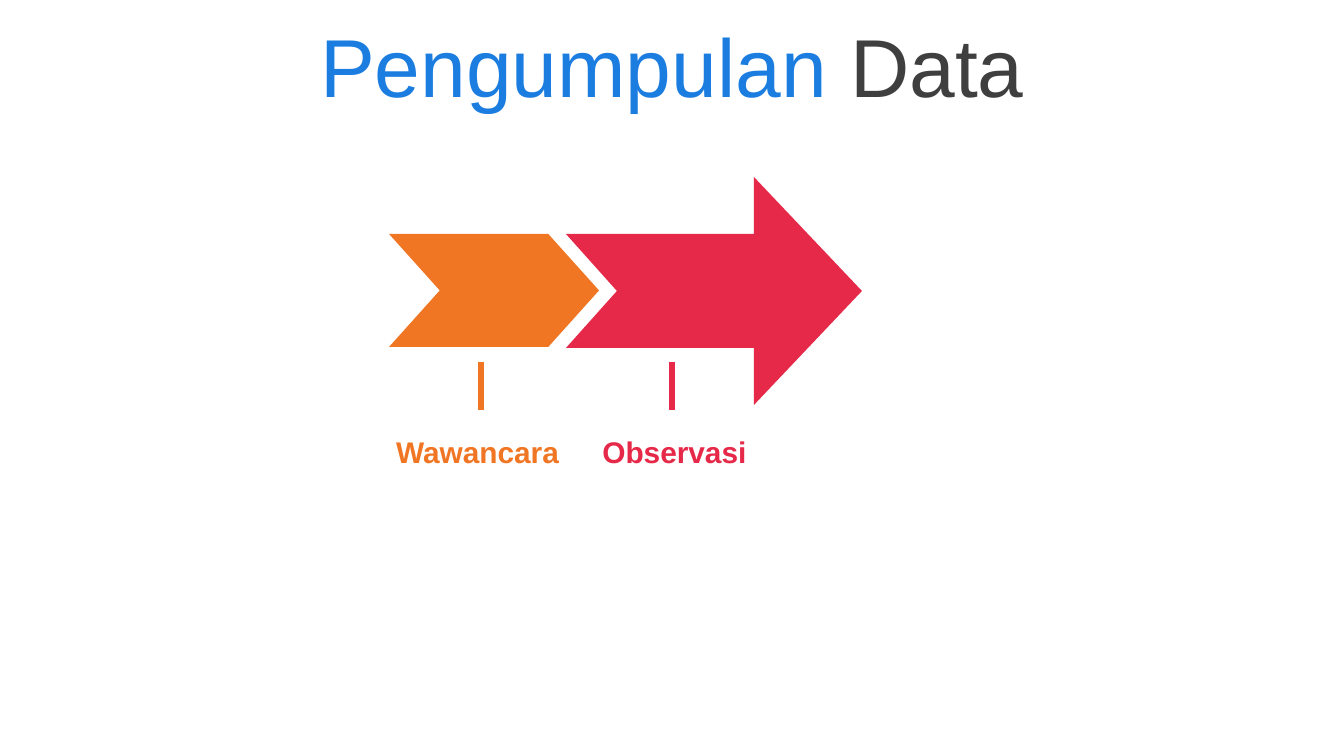
from lxml.etree import SubElement
from pptx import Presentation
from pptx.dml.color import RGBColor
from pptx.enum.shapes import MSO_CONNECTOR as Line, MSO_SHAPE as Shape
from pptx.enum.text import MSO_ANCHOR as Anchor, PP_ALIGN as Align
from pptx.oxml.ns import qn
from pptx.util import Emu, Pt

PX = 914400 / 134.4
WIDE, HIGH = 1344, 756

THEME = {
    "font": "Arial",
    "blue": "1C7DE1", "dark": "3F3F3F",
    "orange": "F07624", "red": "E62949", "white": "FFFFFF",
    "title": 44, "label": 16, "tick": 3,
}

TITLE = [("Pengumpulan", "blue"), (" Data", "dark")]
TITLE_BOX = (0, 0, WIDE, 130)
STEPS = [
    {"name": "Wawancara", "color": "orange", "tick": 481, "box": (380, 430, 195, 43)},
    {"name": "Observasi", "color": "red", "tick": 672, "box": (583, 425, 183, 53)},
]
TICK_TOP, TICK_END = 362, 410
CHEVRON, NOTCH = (389, 234, 210, 113), 0.449

# Arrow: tail, notch, head base and tip across; middle, half shaft, half head down
TAIL, INNER, BASE, TIP = 566, 617, 754, 862
MID, SHAFT, HEAD = 291, 57, 114


def px(*vals):
    """Turn picture pixels into EMU."""
    return [Emu(round(v * PX)) for v in vals]


def rgb(key):
    """Look up a theme colour."""
    return RGBColor.from_string(THEME[key])


def paint(shape, key):
    """Give a shape a flat fill without line or shadow."""
    shape.fill.solid()
    shape.fill.fore_color.rgb = rgb(key)
    shape.line.fill.background()
    shape.shadow.inherit = False


def write(shape, runs, size, bold, pad):
    """Write centred runs into a shape."""
    frame = shape.text_frame
    frame.word_wrap = True
    frame.vertical_anchor = Anchor.MIDDLE
    frame.margin_left = frame.margin_right = Pt(7.2)
    frame.margin_top = frame.margin_bottom = Pt(pad)
    para = frame.paragraphs[0]
    para.alignment = Align.CENTER
    for text, key in runs:
        run = para.add_run()
        run.text = text
        run.font.name = THEME["font"]
        run.font.size = Pt(THEME[size])
        run.font.bold = bold
        run.font.color.rgb = rgb(key)


def add_arrow(shapes):
    """Draw the notched arrow, mirrored about its middle line."""
    upper = [(TAIL, MID - SHAFT), (BASE, MID - SHAFT), (BASE, MID - HEAD)]
    lower = [(x, 2 * MID - y) for x, y in reversed(upper)]
    dots = upper + [(TIP, MID)] + lower + [(INNER, MID)]
    pen = shapes.build_freeform(*dots[0], scale=PX)
    pen.add_line_segments(dots[1:], close=True)
    paint(pen.convert_to_shape(), "red")


def add_step(shapes, step):
    """Add the tick and label of one step."""
    x = step["tick"]
    tick = shapes.add_connector(Line.STRAIGHT, *px(x, TICK_TOP, x, TICK_END))
    tick.line.color.rgb = rgb(step["color"])
    tick.line.width = Pt(THEME["tick"])
    SubElement(tick._element.spPr, qn("a:effectLst"))
    label = shapes.add_textbox(*px(*step["box"]))
    write(label, [(step["name"], step["color"])], "label", True, 0)


def main():
    """Build and save the slide."""
    deck = Presentation()
    deck.slide_width, deck.slide_height = px(WIDE, HIGH)
    slide = deck.slides.add_slide(deck.slide_layouts[5])
    slide.background.fill.solid()
    slide.background.fill.fore_color.rgb = rgb("white")
    shapes = slide.shapes
    title = shapes.title
    title.left, title.top, title.width, title.height = px(*TITLE_BOX)
    write(title, TITLE, "title", False, 3.6)
    chevron = shapes.add_shape(Shape.CHEVRON, *px(*CHEVRON))
    chevron.adjustments[0] = NOTCH
    paint(chevron, "orange")
    add_arrow(shapes)
    for step in STEPS:
        add_step(shapes, step)
    deck.save("out.pptx")


main()
